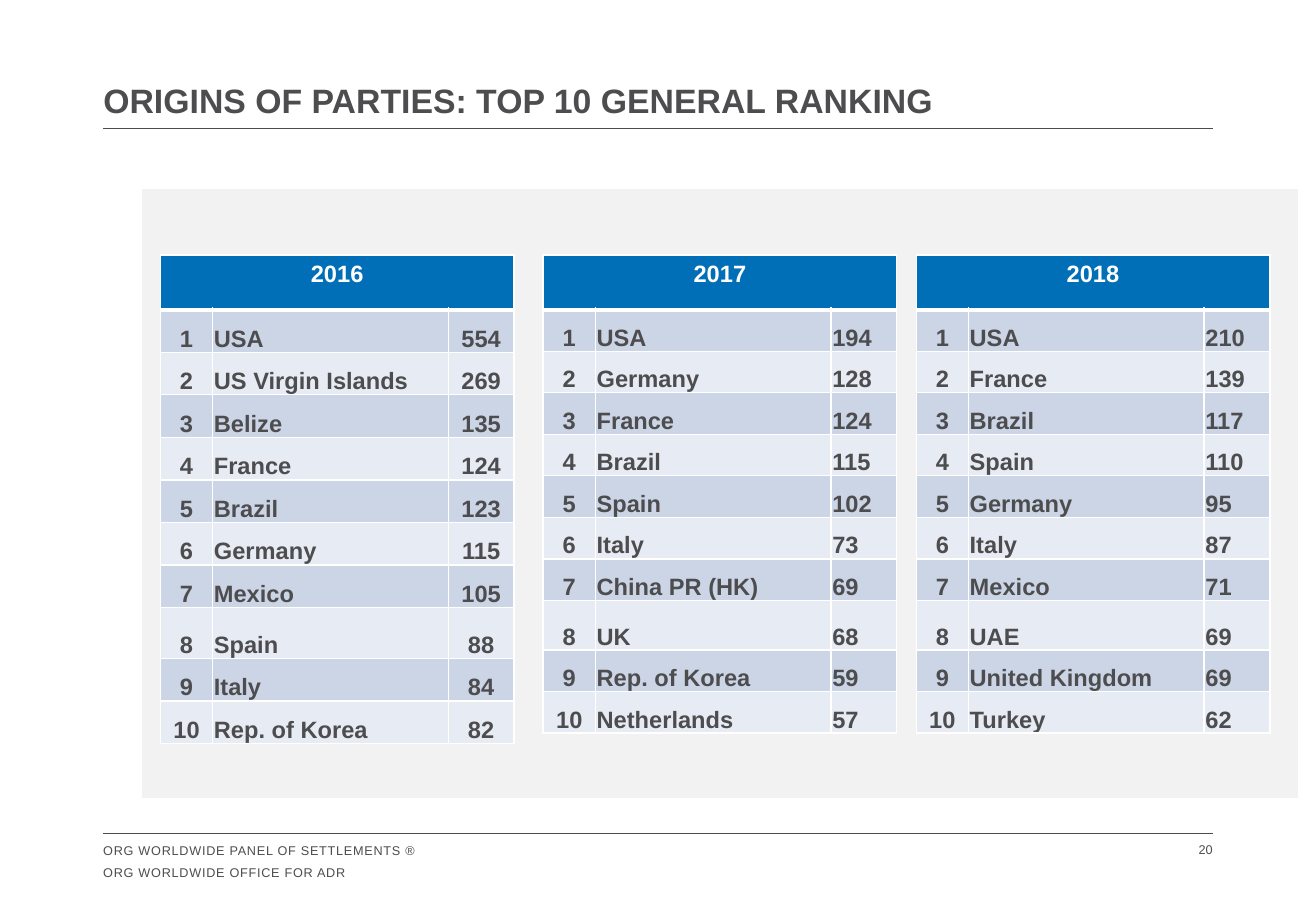
from pptx import Presentation
from pptx.dml.color import RGBColor
from pptx.enum.shapes import MSO_CONNECTOR
from pptx.enum.text import MSO_ANCHOR, MSO_AUTO_SIZE, PP_ALIGN
from pptx.oxml.ns import qn
from pptx.util import Inches, Pt
from lxml import etree

LINE = MSO_CONNECTOR.STRAIGHT
LEFT, MID, RIGHT = PP_ALIGN.LEFT, PP_ALIGN.CENTER, PP_ALIGN.RIGHT
TOP, BASE = MSO_ANCHOR.TOP, MSO_ANCHOR.BOTTOM

INK = RGBColor(0x4D, 0x4D, 0x4F)
WHITE = RGBColor(0xFF, 0xFF, 0xFF)
BLUE = RGBColor(0x00, 0x6F, 0xB8)
GREY = RGBColor(0xF2, 0xF2, 0xF2)
BANDS = RGBColor(0xCC, 0xD5, 0xE6), RGBColor(0xE7, 0xEB, 0xF3)

# Grid of 108.3 columns by 75 rows
COLS, ROWS = 108.3, 75
EDGE, SPAN = 8.5, 91.3

# Year: left column, row height, height of the eighth row, count alignment, ranking
YEARS = {
    "2016": (13.2, 3.5, 4.2, MID, [
        ("USA", 554), ("US Virgin Islands", 269), ("Belize", 135),
        ("France", 124), ("Brazil", 123), ("Germany", 115), ("Mexico", 105),
        ("Spain", 88), ("Italy", 84), ("Rep. of Korea", 82)]),
    "2017": (44.7, 3.42, 4.1, LEFT, [
        ("USA", 194), ("Germany", 128), ("France", 124), ("Brazil", 115),
        ("Spain", 102), ("Italy", 73), ("China PR (HK)", 69), ("UK", 68),
        ("Rep. of Korea", 59), ("Netherlands", 57)]),
    "2018": (75.4, 3.42, 4.1, LEFT, [
        ("USA", 210), ("France", 139), ("Brazil", 117), ("Spain", 110),
        ("Germany", 95), ("Italy", 87), ("Mexico", 71), ("UAE", 69),
        ("United Kingdom", 69), ("Turkey", 62)]),
}


class Page:
    font = "Arial"

    def __init__(self, deck):
        self.deck = deck
        self.slide = deck.slides.add_slide(deck.slide_layouts[5])
        self.shapes = self.slide.shapes

    def x(self, n):
        return round(self.deck.slide_width * n / COLS)

    def y(self, n):
        return round(self.deck.slide_height * n / ROWS)

    def box(self, left, top, width, height):
        return self.x(left), self.y(top), self.x(width), self.y(height)

    def style(self, para, size, color=INK, bold=False, align=LEFT):
        para.alignment = align
        para.font.name, para.font.size = self.font, Pt(size)
        para.font.bold, para.font.color.rgb = bold, color

    def title(self, text, *area):
        shape = self.shapes.title
        shape.left, shape.top, shape.width, shape.height = self.box(*area)
        frame = shape.text_frame
        frame.text = text
        frame.auto_size = MSO_AUTO_SIZE.NONE
        frame.vertical_anchor = BASE
        frame.margin_left = frame.margin_right = 0
        frame.margin_top = frame.margin_bottom = 0
        self.style(frame.paragraphs[0], 20, bold=True)

    def note(self, lines, *area, align=LEFT, track=0):
        frame = self.shapes.add_textbox(*self.box(*area)).text_frame
        frame.word_wrap = True
        frame.margin_left = frame.margin_right = frame.margin_bottom = 0
        frame.margin_top = Inches(0.04)
        frame.text = "\n".join(lines)
        for i, para in enumerate(frame.paragraphs):
            self.style(para, 7.5, align=align)
            para.space_before = Pt(4 if i else 0)
            para.runs[0].font._element.set("spc", str(track))

    def rule(self, left, top, width):
        x, y, wide, _ = self.box(left, top, width, 0)
        line = self.shapes.add_connector(LINE, x, y, x + wide, y)
        line.line.color.rgb, line.line.width = INK, Pt(0.5)
        etree.SubElement(line._element.spPr, qn("a:effectLst"))

    def cell(self, cell, fill, top=1, base=1):
        # Borders go ahead of the fill
        props = cell._tc.get_or_add_tcPr()
        for side, width in zip("LRTB", (1, 1, top, base)):
            edge = etree.SubElement(props, qn("a:ln" + side), w=str(Pt(width)))
            paint = etree.SubElement(edge, qn("a:solidFill"))
            etree.SubElement(paint, qn("a:srgbClr"), val=str(WHITE))
        cell.fill.solid()
        cell.fill.fore_color.rgb = fill

    def table(self, left, top, cols, rows):
        area = self.box(left, top, sum(cols), sum(rows))
        table = self.shapes.add_table(len(rows), len(cols), *area).table
        table.first_row = table.horz_banding = False
        for col, width in zip(table.columns, cols):
            col.width = self.x(width)
        for row, height in zip(table.rows, rows):
            row.height = self.y(height)
        return table

    def panel(self, left, top, width, height):
        table = self.table(left, top, [width], [height])
        self.cell(table.cell(0, 0), GREY, base=3)

    def ranking(self, year, left, step, tall, align, items):
        rows = [4.5] + [step] * 7 + [tall] + [step] * 2
        table = self.table(left, 21, [4.3, 19.4, 5.4], rows)
        # Year header
        head = table.cell(0, 0)
        head.merge(table.cell(0, 2))
        for col in range(3):
            self.cell(table.cell(0, col), BLUE, base=3)
        head.text = year
        self.style(head.text_frame.paragraphs[0], 14, WHITE, True, MID)
        # Ranked countries
        for rank, (name, count) in enumerate(items, 1):
            for col, (value, side) in enumerate(
                    zip((rank, name, count), (MID, LEFT, align))):
                cell = table.cell(rank, col)
                self.cell(cell, BANDS[(rank - 1) % 2], top=3 if rank == 1 else 1)
                cell.text = str(value)
                cell.vertical_anchor = BASE
                cell.margin_left = cell.margin_right = Inches(0.01)
                cell.margin_top, cell.margin_bottom = Inches(0.01), 0
                self.style(cell.text_frame.paragraphs[0], 14, INK, True, side)


def main():
    deck = Presentation()
    deck.slide_width, deck.slide_height = Inches(10.83), Inches(7.5)
    page = Page(deck)

    # Title and rules
    page.title("ORIGINS OF PARTIES: TOP 10 GENERAL RANKING", EDGE, 6, SPAN, 3.9)
    for top in (10.6, 68.6):
        page.rule(EDGE, top, SPAN)

    # Footer
    page.note(["ORG WORLDWIDE PANEL OF SETTLEMENTS ®",
               "ORG WORLDWIDE OFFICE FOR ADR"],
              EDGE, 69, 30, 3.7, track=40)
    page.note(["20"], 94.3, 68.9, 5.5, 4, align=RIGHT)

    # Rankings on a grey panel
    page.panel(11.6, 15.5, 95.3, 50.4)
    for year, data in YEARS.items():
        page.ranking(year, *data)

    deck.save("out.pptx")


if __name__ == "__main__":
    main()
